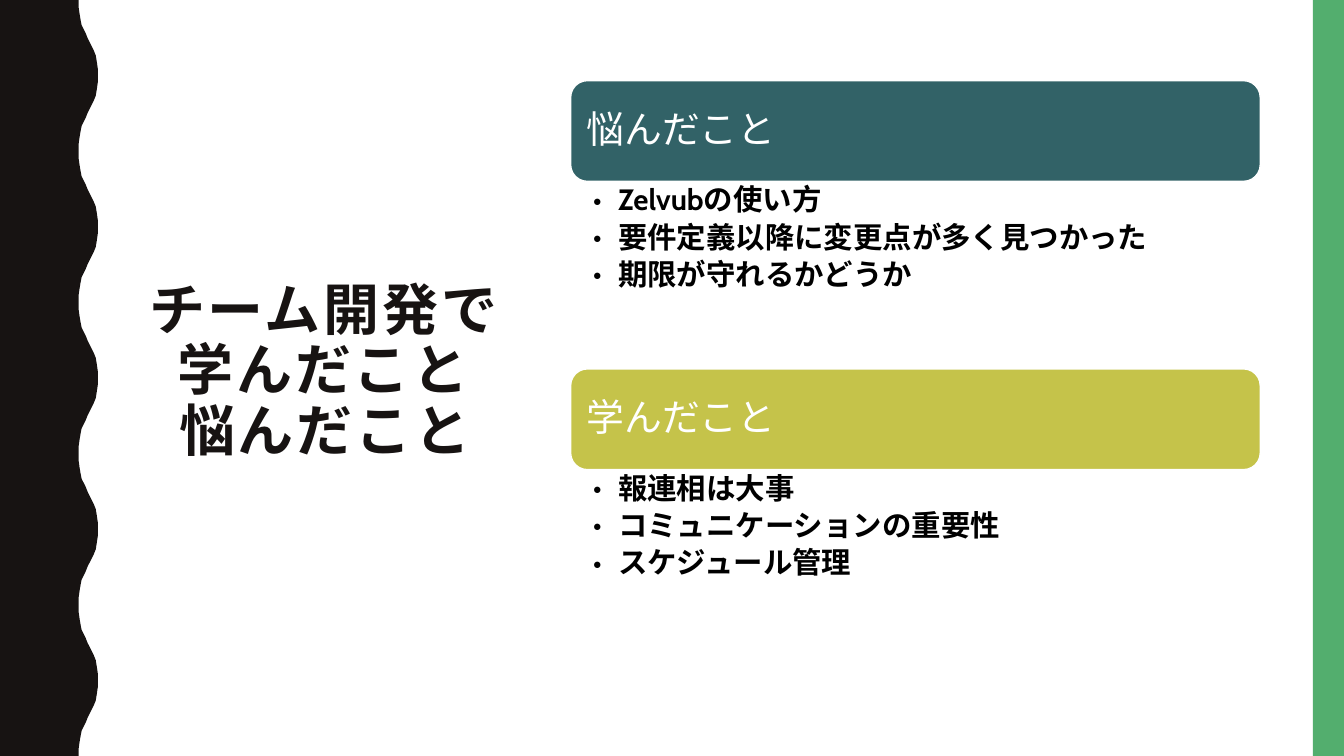
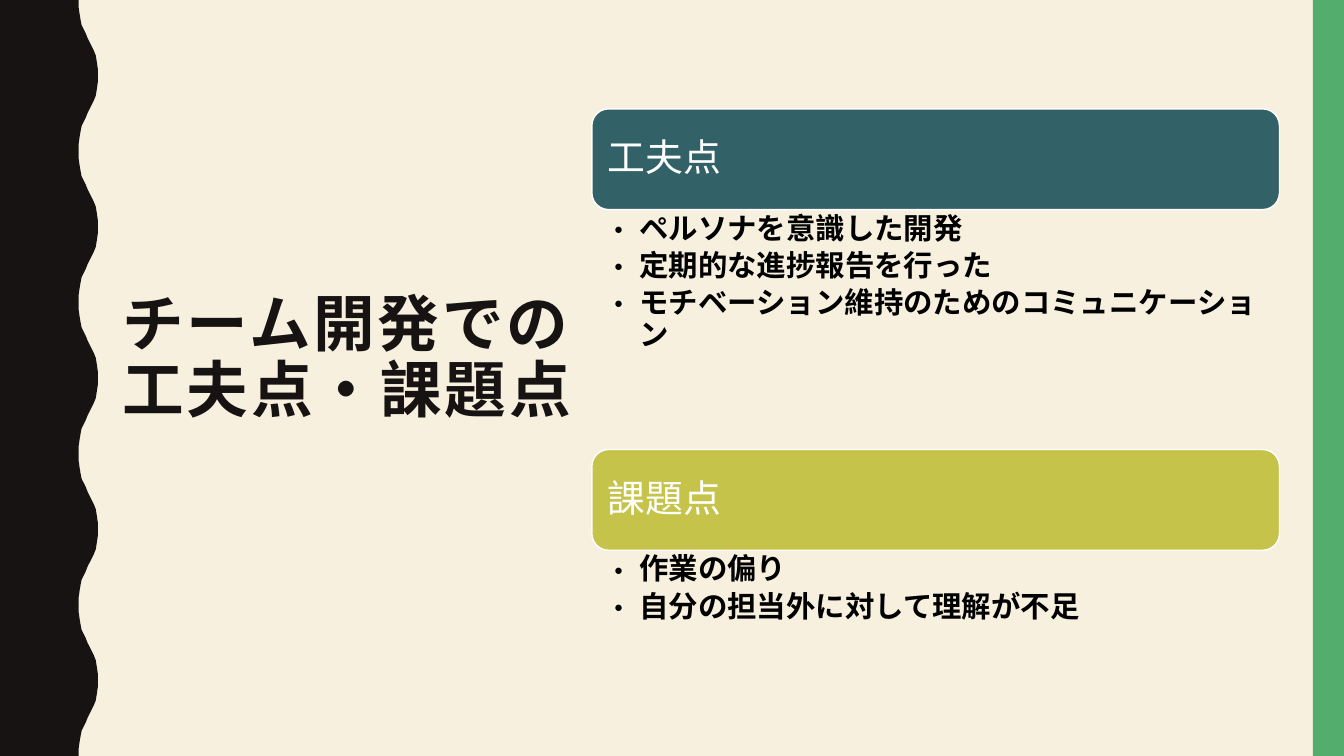
from lxml.etree import SubElement
from pptx import Presentation
from pptx.dml.color import RGBColor
from pptx.enum.shapes import MSO_SHAPE
from pptx.enum.text import MSO_ANCHOR, PP_ALIGN
from pptx.oxml.ns import qn
from pptx.util import Inches, Pt

INK = RGBColor(0x17, 0x13, 0x12)
GREEN = RGBColor(0x53, 0xAE, 0x6E)
TEAL = RGBColor(0x32, 0x62, 0x67)
LIME = RGBColor(0xC5, 0xC3, 0x4A)
CREAM = RGBColor(0xF7, 0xF0, 0xDF)
WHITE = RGBColor(0xFF, 0xFF, 0xFF)
BLACK = RGBColor(0x00, 0x00, 0x00)

TITLE_FONT = "Noto Sans CJK JP"
BODY_FONT = "Cabin"

SLIDE_W, SLIDE_H = 13.33, 7.5
GREEN_BAND_W = 0.31
HEADER_H = 1
WAVE_PERIOD = 1.5
# Edge of the dark band from a trough down to the next crest, as (x, y)
WAVE_RISE = [
    (0.78, 0), (0.78, 0.07), (0.79, 0.14), (0.8, 0.2), (0.81, 0.25),
    (0.83, 0.29), (0.85, 0.33), (0.87, 0.38), (0.89, 0.42), (0.91, 0.46),
    (0.93, 0.5), (0.95, 0.55), (0.96, 0.61), (0.97, 0.68), (0.97, 0.75),
]


def write(frame, paragraphs, *, size, color, font=BODY_FONT, bold=False,
          spacing=0, align=PP_ALIGN.LEFT, anchor=MSO_ANCHOR.TOP,
          insets=(0.1, 0.05, 0.1, 0.05), bullet=False, after=0):
    """Fill a text frame; a newline inside a paragraph is a line break."""
    frame.word_wrap = True
    frame.vertical_anchor = anchor
    (frame.margin_left, frame.margin_top,
     frame.margin_right, frame.margin_bottom) = map(Inches, insets)
    for index, text in enumerate(paragraphs):
        paragraph = frame.add_paragraph() if index else frame.paragraphs[0]
        paragraph.text = text.replace("\n", "\v")
        paragraph.alignment = align
        paragraph.line_spacing = 0.9
        paragraph.space_after = Pt(after)
        if bullet:
            add_bullet(paragraph)
        for run in paragraph.runs:
            run.font.size = Pt(size)
            run.font.bold = bold
            run.font.color.rgb = color
            run.font.name = font
            properties = run.font._element
            SubElement(properties, qn("a:ea")).set("typeface", font)
            if spacing:
                properties.set("spc", str(spacing * 100))


def add_bullet(paragraph):
    properties = paragraph._p.get_or_add_pPr()
    properties.set("marL", str(Inches(0.25)))
    properties.set("indent", str(-Inches(0.25)))
    SubElement(properties, qn("a:buFont")).set("typeface", BODY_FONT)
    SubElement(properties, qn("a:buChar")).set("char", "•")


def paint(shape, fill, line=None):
    shape.shadow.inherit = False
    shape.fill.solid()
    shape.fill.fore_color.rgb = fill
    if line is None:
        shape.line.fill.background()
    else:
        shape.line.color.rgb = line
        shape.line.width = Pt(1)


def add_side_bands(slide):
    wave = WAVE_RISE + [(x, WAVE_PERIOD - y) for x, y in WAVE_RISE[-2::-1]]
    edge = [(x, y + WAVE_PERIOD * turn)
            for turn in range(round(SLIDE_H / WAVE_PERIOD)) for x, y in wave]
    builder = slide.shapes.build_freeform(0, 0)
    builder.add_line_segments(
        [(Inches(x), Inches(y)) for x, y in edge + [(0, SLIDE_H)]])
    paint(builder.convert_to_shape(), INK)
    green_band = slide.shapes.add_shape(
        MSO_SHAPE.RECTANGLE, Inches(SLIDE_W - GREEN_BAND_W), 0,
        Inches(GREEN_BAND_W), Inches(SLIDE_H))
    paint(green_band, GREEN)


def add_title(slide, text, box, size, anchor):
    title = slide.shapes.add_textbox(*map(Inches, box))
    write(title.text_frame, [text], size=size, color=INK, font=TITLE_FONT,
          bold=True, spacing=2, align=PP_ALIGN.CENTER, anchor=anchor)


def add_topic(slide, box, color, heading, points):
    """Place a coloured heading bar with its bullet points below."""
    left, top, width, height = box
    header = slide.shapes.add_shape(
        MSO_SHAPE.ROUNDED_RECTANGLE, *map(Inches, (left, top, width, HEADER_H)))
    paint(header, color, WHITE)
    write(header.text_frame, [heading], size=27, color=WHITE,
          anchor=MSO_ANCHOR.MIDDLE, insets=(0.11, 0.11, 0.11, 0.11))
    body = slide.shapes.add_textbox(
        *map(Inches, (left, top + HEADER_H, width, height - HEADER_H)))
    write(body.text_frame, points, size=21, color=BLACK, bold=True,
          insets=(0.22, 0.04, 0.21, 0.04), bullet=True, after=4)


def add_topics_slide(deck, background, title, topics, left, top, width):
    """Add a slide with its title at left and stacked topics at right."""
    slide = deck.slides.add_slide(deck.slide_layouts[6])
    slide.background.fill.solid()
    slide.background.fill.fore_color.rgb = background
    add_side_bands(slide)
    add_title(slide, **title)
    for color, (heading, height, points) in zip((TEAL, LIME), topics):
        add_topic(slide, (left, top, width, height), color, heading, points)
        top += height


def main():
    deck = Presentation()
    deck.slide_width, deck.slide_height = Inches(SLIDE_W), Inches(SLIDE_H)
    add_topics_slide(
        deck, WHITE,
        dict(text="チーム開発で学んだこと\n悩んだこと",
             box=(1.37, 1.07, 3.7, 5.25), size=40, anchor=MSO_ANCHOR.MIDDLE),
        [("悩んだこと", 2.86, ["Zelvubの使い方",
                          "要件定義以降に変更点が多く見つかった",
                          "期限が守れるかどうか"]),
         ("学んだこと", 2.86, ["報連相は大事",
                          "コミュニケーションの重要性",
                          "スケジュール管理"])],
        left=5.66, top=0.8, width=6.84)
    add_topics_slide(
        deck, CREAM,
        dict(text="チーム開発での\n工夫点・課題点",
             box=(0.65, 2.86, 5.58, 1.46), size=44, anchor=MSO_ANCHOR.TOP),
        [("工夫点", 3.38, ["ペルソナを意識した開発",
                        "定期的な進捗報告を行った",
                        "モチベーション維持のためのコミュニケーション"]),
         ("課題点", 2.25, ["作業の偏り",
                        "自分の担当外に対して理解が不足"])],
        left=5.87, top=1.08, width=6.82)
    deck.save("out.pptx")


if __name__ == "__main__":
    main()
